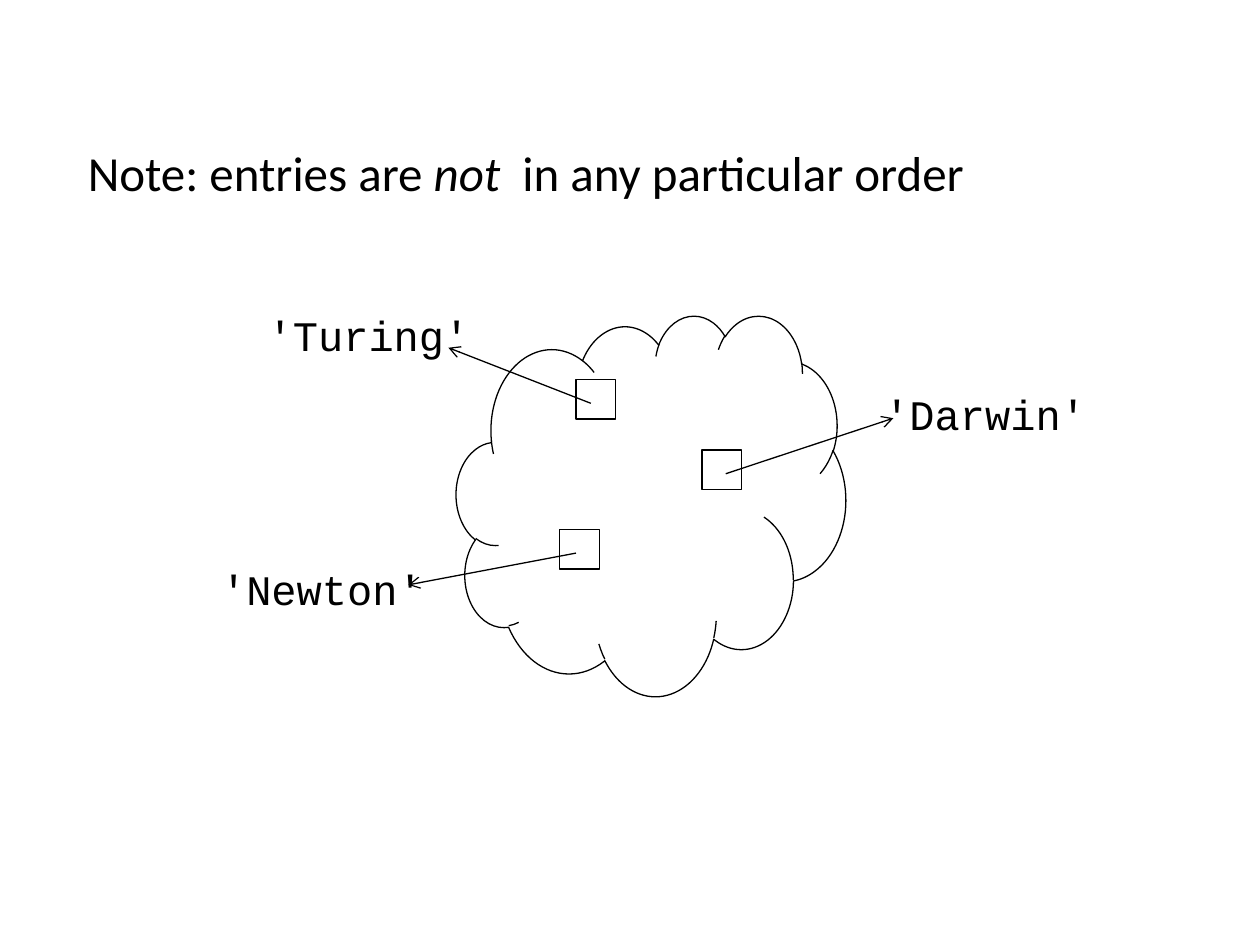
from dataclasses import dataclass

from lxml.etree import SubElement
from pptx import Presentation
from pptx.dml.color import RGBColor
from pptx.enum.shapes import MSO_CONNECTOR, MSO_SHAPE
from pptx.enum.text import MSO_AUTO_SIZE, PP_ALIGN
from pptx.oxml.ns import qn
from pptx.util import Cm, Pt

BLACK = RGBColor(0, 0, 0)
THIN = Pt(0.75)
SIDE = 0.8  # side of an entry box, cm
HIGH = 1.12  # height of a label, cm


@dataclass
class Entry:
    """One set entry: its box, its arrow and its label, in cm."""
    name: str
    box: tuple[float, float]
    start: tuple[float, float]
    tip: tuple[float, float]
    label: tuple[float, float, float]


ENTRIES = [
    Entry("'Turing'", (11.61, 7.65), (11.91, 8.13), (9.04, 7.01), (5.97, 6.2, 2.92)),
    Entry("'Newton'", (11.28, 10.67), (11.61, 11.15), (8.23, 11.79), (4.9, 11.33, 3.18)),
    Entry("'Darwin'", (14.15, 9.07), (14.63, 9.55), (18.01, 8.43), (18.31, 7.8, 3.1)),
]


def add_form(slide, kind: MSO_SHAPE, x: float, y: float, w: float, h: float) -> None:
    form = slide.shapes.add_shape(kind, Cm(x), Cm(y), Cm(w), Cm(h))
    form.shadow.inherit = False
    form.fill.background()
    form.line.color.rgb = BLACK
    form.line.width = THIN


def add_arrow(slide, start: tuple[float, float], tip: tuple[float, float]) -> None:
    arrow = slide.shapes.add_connector(
        MSO_CONNECTOR.STRAIGHT, *(Cm(v) for v in start + tip))
    arrow.line.color.rgb = BLACK
    arrow.line.width = THIN
    SubElement(arrow.line._get_or_add_ln(), qn("a:tailEnd"), type="arrow")
    SubElement(arrow._element.spPr, qn("a:effectLst"))


def add_text(slide, runs: list[tuple[str, bool]], x: float, y: float, w: float,
             h: float, *, font: str, size: float, lead: float,
             align: PP_ALIGN = PP_ALIGN.LEFT, hang: float = 0,
             grow: bool = False) -> None:
    """Add one line of text; each run is its words and whether it is italic."""
    frame = slide.shapes.add_textbox(Cm(x), Cm(y), Cm(w), Cm(h)).text_frame
    frame.word_wrap = False
    frame.auto_size = MSO_AUTO_SIZE.SHAPE_TO_FIT_TEXT if grow else MSO_AUTO_SIZE.NONE
    para = frame.paragraphs[0]
    para.alignment = align
    para.line_spacing = lead
    if hang:
        props = para._p.get_or_add_pPr()
        props.set("marL", str(Cm(hang)))
        props.set("indent", str(-Cm(hang)))
    for words, slant in runs:
        run = para.add_run()
        run.text = words
        run.font.name = font
        run.font.size = Pt(size)
        run.font.italic = slant
        run.font.color.rgb = BLACK


def main() -> None:
    deck = Presentation()
    deck.slide_width, deck.slide_height = Cm(25.4), Cm(19.05)
    slide = deck.slides.add_slide(deck.slide_layouts[6])

    # The set and its entries
    add_form(slide, MSO_SHAPE.CLOUD, 9.2, 6.35, 7.85, 7.67)
    for entry in ENTRIES:
        add_form(slide, MSO_SHAPE.RECTANGLE, *entry.box, SIDE, SIDE)
    for entry in ENTRIES:
        add_arrow(slide, entry.start, entry.tip)
    for entry in ENTRIES:
        add_text(slide, [(entry.name, False)], *entry.label, HIGH,
                 font="Courier New", size=24, lead=0.93, align=PP_ALIGN.CENTER)

    # Note above the set
    note = [("Note: entries are ", False), ("not", True),
            ("  in any particular order", False)]
    add_text(slide, note, 1.52, 2.16, 18.36, 1.85, font="Calibri", size=28,
             lead=1.5, hang=1.27, grow=True)

    deck.save("out.pptx")


if __name__ == "__main__":
    main()
